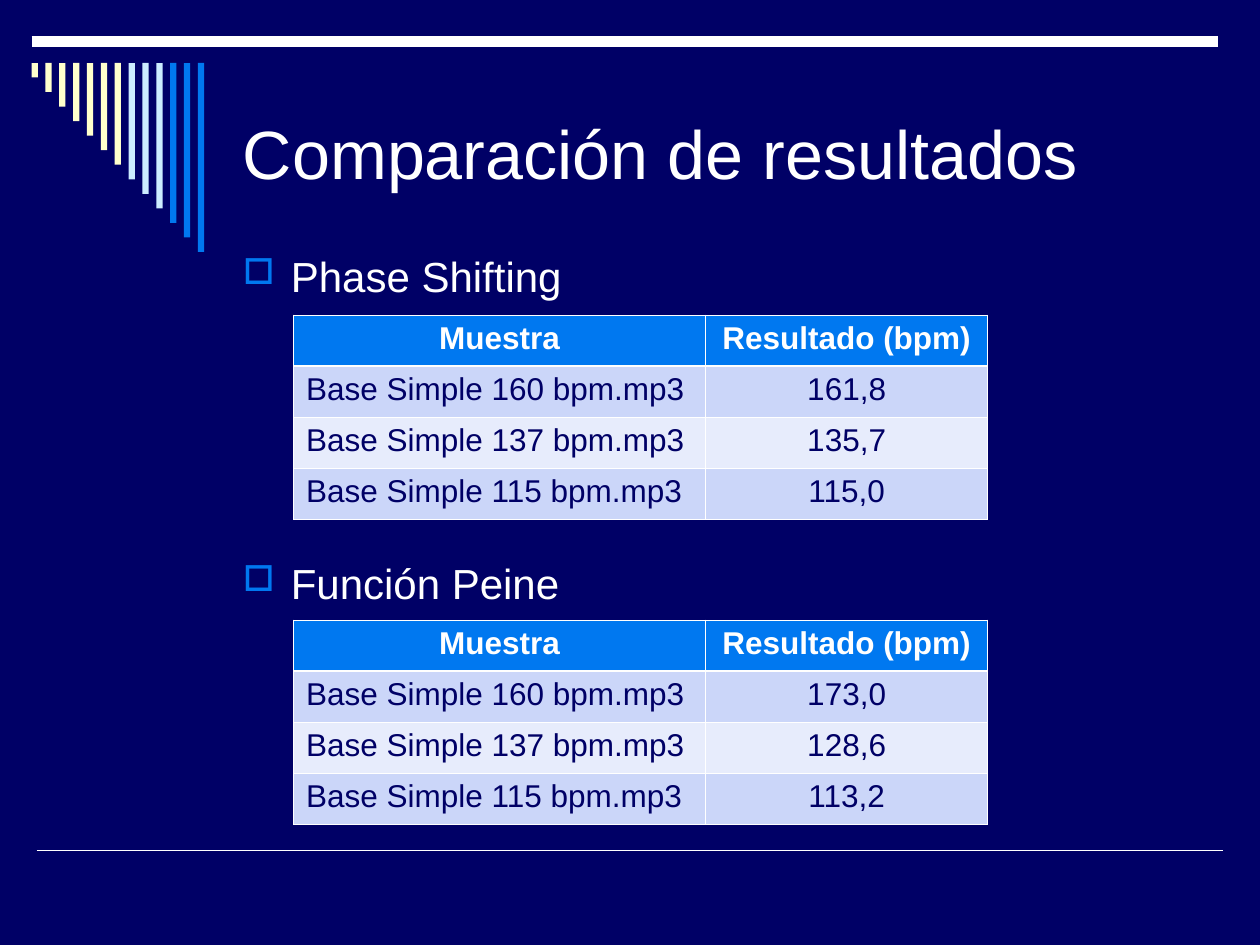
from lxml.etree import SubElement
from pptx import Presentation
from pptx.dml.color import RGBColor
from pptx.enum.shapes import MSO_CONNECTOR, MSO_SHAPE
from pptx.enum.text import MSO_ANCHOR, PP_ALIGN
from pptx.oxml.ns import qn
from pptx.util import Inches, Pt

COLORS = {
    "navy": "000066", "white": "FFFFFF", "cream": "FFFFCC", "sky": "CCECFF",
    "blue": "0078F0", "band": "CBD6F9", "light": "E7ECFC",
}
FONT = "Arial"
TITLE = "Comparación de resultados"
HEADER = ("Muestra", "Resultado (bpm)")
SAMPLES = [f"Base Simple {bpm} bpm.mp3" for bpm in (160, 137, 115)]
METHODS = [
    ("Phase Shifting", ("161,8", "135,7", "115,0")),
    ("Función Peine", ("173,0", "128,6", "113,2")),
]
RULES = [(0.25, 0.33, 6), (0.29, 6.75, 1)]
RULE_WIDTH = 9.42
STRIPES = ["cream"] * 7 + ["sky"] * 3 + ["blue"] * 3
STRIPE_LEFT, STRIPE_TOP, STRIPE_STEP, STRIPE_WIDTH = 0.25, 0.5, 0.11, 0.05
STRIPE_MAX = 1.5
TABLE_LEFT, TABLE_TOP, TABLE_STEP = 2.33, 2.5, 2.42
COLUMNS = (3.27, 2.24)
ROW_HEIGHT = 0.405
SPACE_BETWEEN = 146.5


def rgb(name):
    return RGBColor.from_string(COLORS[name])


def add_run(p, text, size, color, bold=False):
    r = p.add_run()
    r.text = text
    r.font.name = FONT
    r.font.size = Pt(size)
    r.font.bold = bold
    r.font.color.rgb = rgb(color)


def add_text_box(s, left, top, width, height):
    box = s.shapes.add_textbox(Inches(left), Inches(top), Inches(width), Inches(height))
    box.text_frame.word_wrap = True
    return box.text_frame


def add_rule(s, left, top, weight):
    line = s.shapes.add_connector(
        MSO_CONNECTOR.STRAIGHT, Inches(left), Inches(top),
        Inches(left + RULE_WIDTH), Inches(top))
    line.line.color.rgb = rgb("white")
    line.line.width = Pt(weight)
    SubElement(line._element.spPr, qn("a:effectLst"))


def add_stripe(s, i, color):
    height = STRIPE_MAX * (i + 1) / len(STRIPES)
    sp = s.shapes.add_shape(
        MSO_SHAPE.RECTANGLE, Inches(STRIPE_LEFT + i * STRIPE_STEP),
        Inches(STRIPE_TOP), Inches(STRIPE_WIDTH), Inches(height))
    sp.shadow.inherit = False
    sp.fill.solid()
    sp.fill.fore_color.rgb = rgb(color)
    sp.line.fill.background()


def add_bullet(p):
    pPr = p._p.get_or_add_pPr()
    pPr.set("marL", str(Inches(0.38)))
    pPr.set("indent", str(Inches(-0.38)))
    color = SubElement(pPr, qn("a:buClr"))
    SubElement(color, qn("a:srgbClr"), val=COLORS["blue"])
    SubElement(pPr, qn("a:buSzPct"), val="85000")
    SubElement(pPr, qn("a:buChar"), char="□")


def set_borders(cell, top, bottom):
    tcPr = cell._tc.get_or_add_tcPr()
    for side, weight in (("L", 0.45), ("R", 0.45), ("T", top), ("B", bottom)):
        ln = SubElement(tcPr, qn(f"a:ln{side}"), w=str(Pt(weight)))
        fill = SubElement(ln, qn("a:solidFill"))
        SubElement(fill, qn("a:srgbClr"), val=COLORS["white"])


def add_results(s, top, values):
    rows = [HEADER, *zip(SAMPLES, values)]
    table = s.shapes.add_table(
        len(rows), len(COLUMNS), Inches(TABLE_LEFT), Inches(top),
        Inches(sum(COLUMNS)), Inches(ROW_HEIGHT * len(rows))).table
    for column, width in zip(table.columns, COLUMNS):
        column.width = Inches(width)
    for i, row in enumerate(rows):
        table.rows[i].height = Inches(ROW_HEIGHT)
        head = i == 0
        fill = "blue" if head else "band" if i % 2 else "light"
        for j, text in enumerate(row):
            cell = table.cell(i, j)
            set_borders(cell, 1.47 if i == 1 else 0.45, 1.47 if head else 0.45)
            cell.fill.solid()
            cell.fill.fore_color.rgb = rgb(fill)
            p = cell.text_frame.paragraphs[0]
            p.alignment = PP_ALIGN.CENTER if head or j else PP_ALIGN.LEFT
            add_run(p, text, 18, "white" if head else "navy", head)


def main():
    prs = Presentation()
    prs.slide_width, prs.slide_height = Inches(10), Inches(7.5)
    s = prs.slides.add_slide(prs.slide_layouts[6])
    s.background.fill.solid()
    s.background.fill.fore_color.rgb = rgb("navy")

    for rule in RULES:
        add_rule(s, *rule)
    for i, color in enumerate(STRIPES):
        add_stripe(s, i, color)

    tf = add_text_box(s, 1.83, 0.5, 7.67, 1.42)
    tf.vertical_anchor = MSO_ANCHOR.MIDDLE
    add_run(tf.paragraphs[0], TITLE, 39, "white")

    tf = add_text_box(s, 1.83, 1.94, 3.75, 4.48)
    for i, (method, values) in enumerate(METHODS):
        p = tf.add_paragraph() if i else tf.paragraphs[0]
        add_bullet(p)
        if i:
            p.space_before = Pt(SPACE_BETWEEN)
        add_run(p, method, 24, "white")
        add_results(s, TABLE_TOP + i * TABLE_STEP, values)

    prs.save("out.pptx")


if __name__ == "__main__":
    main()
